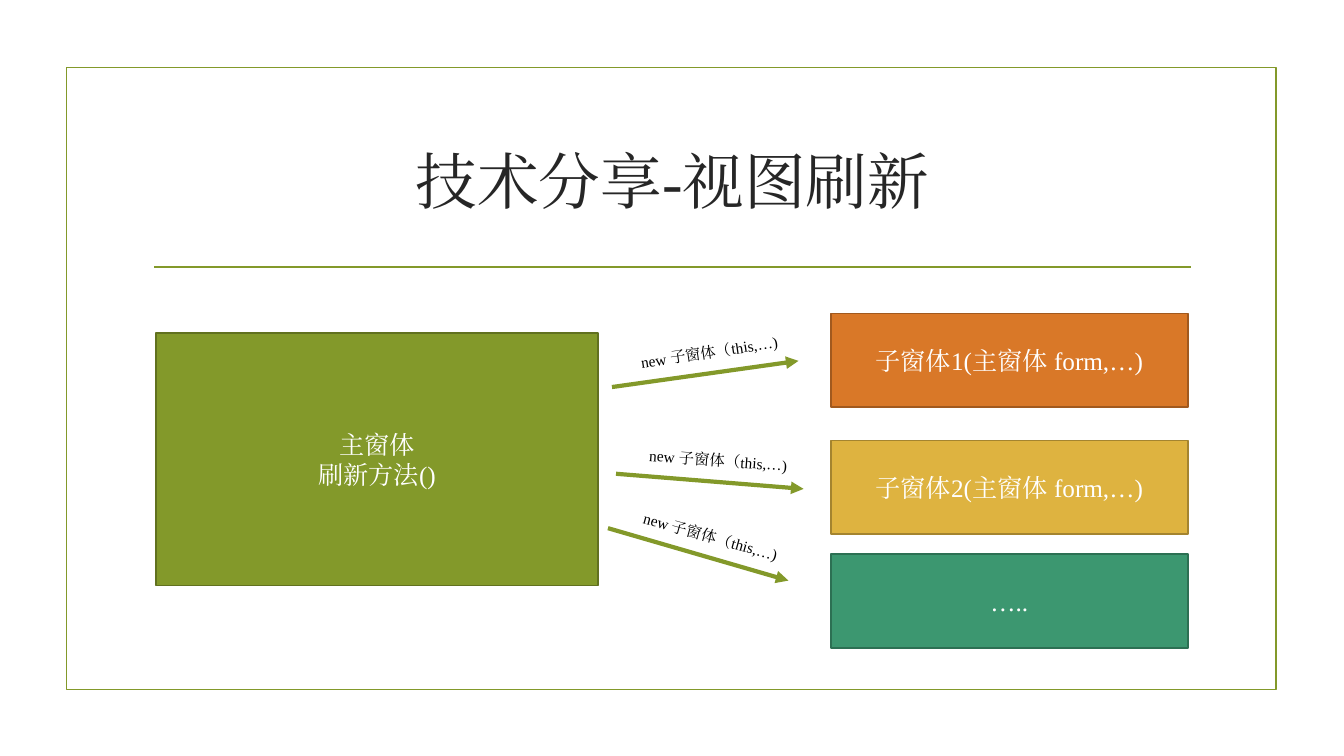
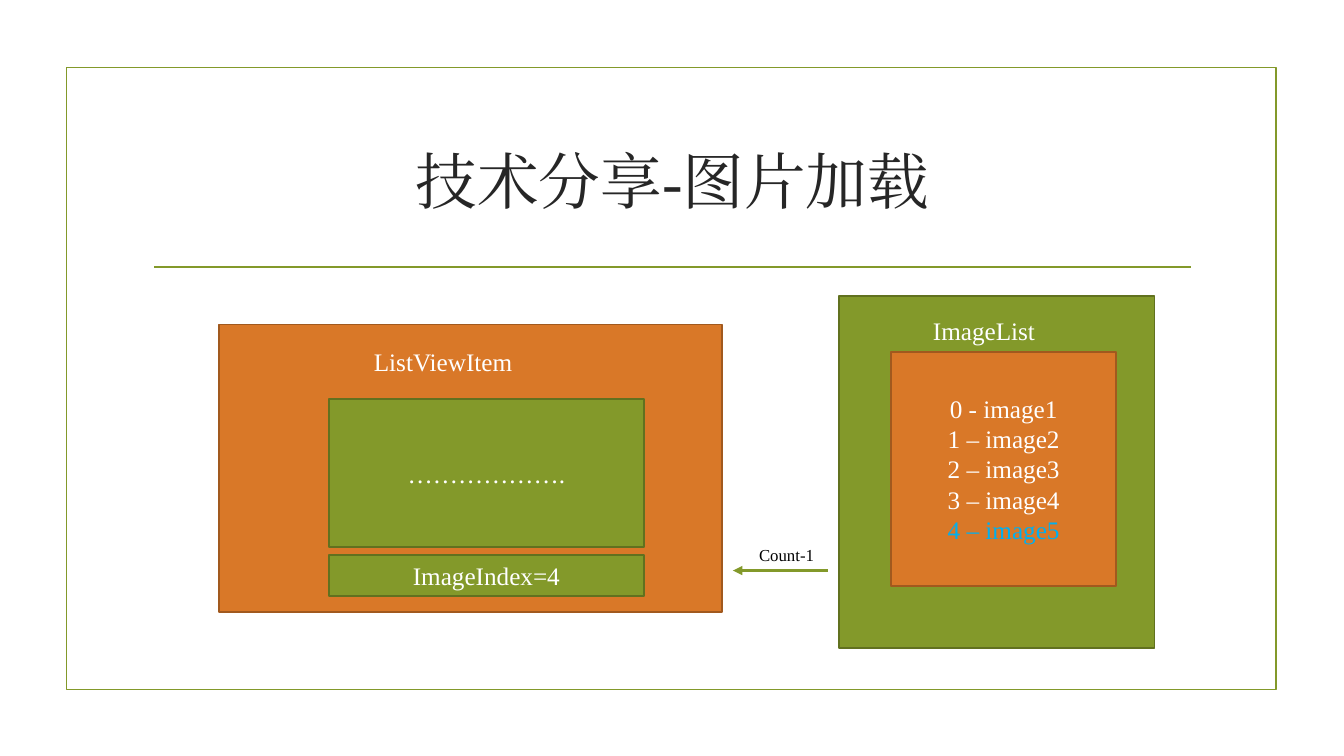
"""Builds two slides on view refreshing and image loading."""
from dataclasses import dataclass

from lxml.etree import SubElement
from pptx import Presentation
from pptx.dml.color import RGBColor
from pptx.enum.shapes import MSO_CONNECTOR, MSO_SHAPE
from pptx.enum.text import MSO_ANCHOR, PP_ALIGN
from pptx.oxml.ns import qn
from pptx.util import Pt

PX = 9144


@dataclass(frozen=True)
class Theme:
    font: str = "Times New Roman"
    ink: str = "262626"
    black: str = "000000"
    white: str = "FFFFFF"
    highlight: str = "00B0F0"
    green: tuple = ("83992A", "61711F")
    orange: tuple = ("D97828", "A1591E")
    gold: tuple = ("DEB340", "A4842F")
    teal: tuple = ("3C9770", "2C7053")
    title_size: int = 44
    body_size: int = 18
    note_size: int = 12
    call_size: int = 11
    outline: float = 1.25


THEME = Theme()
SLIDE_SIZE = (1333, 750)
FRAME = (66, 67, 1200, 617)
RULE = ((153, 265), (1181, 265))
TITLE_BOX = (142, 107, 1050, 143)

REFRESH_TITLE = "技术分享-视图刷新"
MAIN_FORM = (["主窗体", "刷新方法()"], (155, 330, 438, 251))
CHILD_LEFT, CHILD_WIDTH, CHILD_HEIGHT = 824, 354, 93
CHILD_FORMS = [
    ("子窗体1(主窗体 form,…)", 311, THEME.orange),
    ("子窗体2(主窗体 form,…)", 437, THEME.gold),
    ("…..", 550, THEME.teal),
]
CALL_TEXT = "new 子窗体（this,…)"
CALL_SIZE = (171, 29)
CALLS = [
    ((607, 384), (792, 358), (625, 334), -8.5),
    ((611, 470), (797, 485), (634, 443), 4.2),
    ((603, 524), (782, 576), (626, 520), 15.6),
]

LOADING_TITLE = "技术分享-图片加载"
LOADING_BOXES = [
    ([], (832, 294, 313, 349), THEME.green),
    (["0 - image1", "1 – image2", "2 – image3", "3 – image4", "4 – image5"],
     (884, 349, 223, 232), THEME.orange),
    ([], (217, 322, 499, 285), THEME.orange),
    (["ImageIndex=4"], (326, 551, 313, 40), THEME.green),
    (["……………….",], (326, 396, 313, 147), THEME.green),
]
LOADING_LABELS = [
    ("ImageList", (876, 308, 200, 40), PP_ALIGN.CENTER, THEME.body_size, THEME.white),
    ("ListViewItem", (361, 339, 242, 40), PP_ALIGN.LEFT, THEME.body_size, THEME.white),
    ("Count-1", (743, 536, 78, 30), PP_ALIGN.LEFT, THEME.note_size, THEME.black),
]
COUNT_ARROW = ((821, 566), (727, 566))


def emu(lengths):
    return [length * PX for length in lengths]


def write_text(shape, lines, size=THEME.body_size, color=THEME.white,
               align=PP_ALIGN.CENTER, anchor=MSO_ANCHOR.MIDDLE, last_color=None):
    frame = shape.text_frame
    frame.word_wrap = True
    frame.vertical_anchor = anchor
    for index, line in enumerate(lines):
        paragraph = frame.paragraphs[0] if index == 0 else frame.add_paragraph()
        paragraph.alignment = align
        run = paragraph.add_run()
        run.text = line
        is_last = index == len(lines) - 1
        run.font.color.rgb = RGBColor.from_string(last_color if last_color and is_last else color)
        run.font.size = Pt(size)
        run.font.name = THEME.font
        SubElement(run.font._element, qn("a:ea"), typeface=THEME.font)


def add_label(slide, text, box, rotation=0, **text_format):
    shape = slide.shapes.add_textbox(*emu(box))
    shape.rotation = rotation
    write_text(shape, [text], **text_format)


def add_box(slide, box, line_color, fill_color=None, lines=(), **text_format):
    shape = slide.shapes.add_shape(MSO_SHAPE.RECTANGLE, *emu(box))
    shape.shadow.inherit = False
    if fill_color:
        shape.fill.solid()
        shape.fill.fore_color.rgb = RGBColor.from_string(fill_color)
    else:
        shape.fill.background()
    shape.line.color.rgb = RGBColor.from_string(line_color)
    shape.line.width = Pt(THEME.outline)
    write_text(shape, lines, **text_format)


def add_line(slide, start, end, width=THEME.outline, arrow=False):
    connector = slide.shapes.add_connector(MSO_CONNECTOR.STRAIGHT, *emu(start + end))
    connector.line.color.rgb = RGBColor.from_string(THEME.green[0])
    connector.line.width = Pt(width)
    if arrow:
        SubElement(connector.line._get_or_add_ln(), qn("a:tailEnd"), type="triangle")
    SubElement(connector._element.spPr, qn("a:effectLst"))


def add_titled_slide(presentation, title):
    slide = presentation.slides.add_slide(presentation.slide_layouts[6])
    add_box(slide, FRAME, THEME.green[0])
    add_line(slide, *RULE)
    add_label(slide, title, TITLE_BOX, size=THEME.title_size, color=THEME.ink)
    return slide


def build_refresh_slide(presentation):
    slide = add_titled_slide(presentation, REFRESH_TITLE)
    lines, box = MAIN_FORM
    fill, outline = THEME.green
    add_box(slide, box, outline, fill, lines)
    for text, top, (fill, outline) in CHILD_FORMS:
        add_box(slide, (CHILD_LEFT, top, CHILD_WIDTH, CHILD_HEIGHT), outline, fill, [text])
    for start, end, corner, rotation in CALLS:
        add_line(slide, start, end, width=3, arrow=True)
        add_label(slide, CALL_TEXT, corner + CALL_SIZE, rotation, size=THEME.call_size,
                  color=THEME.black, align=PP_ALIGN.LEFT, anchor=MSO_ANCHOR.TOP)


def build_loading_slide(presentation):
    slide = add_titled_slide(presentation, LOADING_TITLE)
    for lines, box, (fill, outline) in LOADING_BOXES:
        last_color = THEME.highlight if len(lines) > 1 else None
        add_box(slide, box, outline, fill, lines, last_color=last_color)
    add_line(slide, *COUNT_ARROW, width=2.25, arrow=True)
    for text, box, align, size, color in LOADING_LABELS:
        add_label(slide, text, box, size=size, color=color, align=align, anchor=MSO_ANCHOR.TOP)


def main():
    presentation = Presentation()
    presentation.slide_width, presentation.slide_height = emu(SLIDE_SIZE)
    build_refresh_slide(presentation)
    build_loading_slide(presentation)
    presentation.save("out.pptx")


if __name__ == "__main__":
    main()
